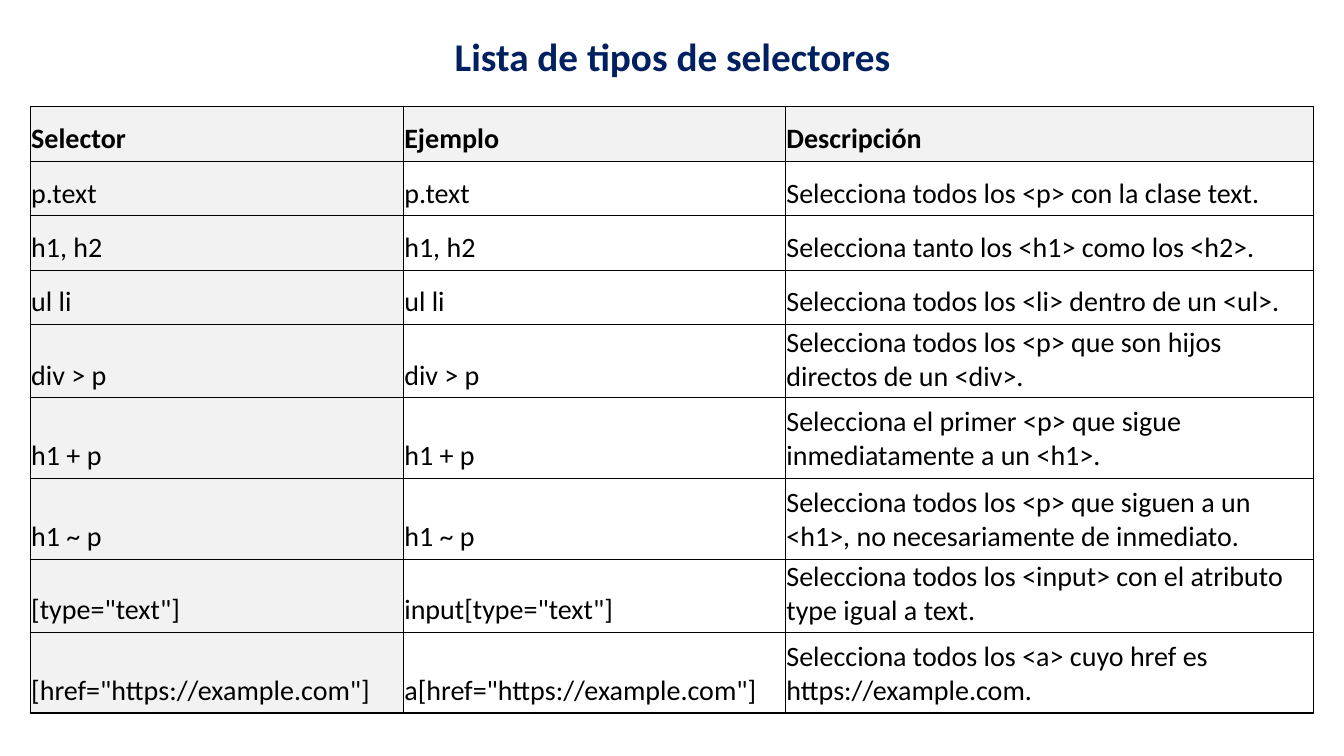
from dataclasses import dataclass

from lxml import etree
from pptx import Presentation
from pptx.dml.color import RGBColor
from pptx.enum.text import MSO_ANCHOR, PP_ALIGN
from pptx.oxml.ns import qn
from pptx.util import Inches, Pt

MIDDLE, BOTTOM = MSO_ANCHOR.MIDDLE, MSO_ANCHOR.BOTTOM
CENTER, LEFT = PP_ALIGN.CENTER, PP_ALIGN.LEFT

SLIDE_WIDTH, SLIDE_HEIGHT = Inches(13.33), Inches(7.5)
COLORS = {"title": "002060", "text": "000000", "border": "000000",
          "shaded": "F2F2F2", "plain": "FFFFFF"}
TITLE_FONT = {"name": "Calibri", "size": Pt(28), "bold": True}
HEADER_FONT = {"name": "Calibri", "size": Pt(20), "bold": True}
BODY_FONT = {**HEADER_FONT, "bold": False}
CELL_FORMAT = {"vertical_anchor": BOTTOM, "margin_left": Inches(0.01),
               "margin_top": Inches(0.01), "margin_right": Inches(0.01),
               "margin_bottom": Inches(0.05)}

# Shares of the slide, in percent
TITLE_BOX = (6.9, 3.47, 86.27, 8.67)
TABLE_LEFT, TABLE_TOP = 2.25, 14.13
COLUMN_SHARES = (27.76, 28.43, 39.31)
ROW_SHARE, TALL_ROW_SHARE = 7.2, 10.67

THICK, THIN = Pt(1), Pt(0.5)


@dataclass(frozen=True)
class SelectorRow:
    selector: str
    example: str
    description: str
    height: float = ROW_SHARE
    header: bool = False

    @property
    def texts(self) -> tuple[str, str, str]:
        return self.selector, self.example, self.description


ROWS = (
    SelectorRow("Selector", "Ejemplo", "Descripción", header=True),
    SelectorRow("p.text", "p.text", "Selecciona todos los <p> con la clase text."),
    SelectorRow("h1, h2", "h1, h2", "Selecciona tanto los <h1> como los <h2>."),
    SelectorRow("ul li", "ul li", "Selecciona todos los <li> dentro de un <ul>."),
    SelectorRow("div > p", "div > p",
                "Selecciona todos los <p> que son hijos directos de un <div>."),
    SelectorRow("h1 + p", "h1 + p",
                "Selecciona el primer <p> que sigue inmediatamente a un <h1>.",
                TALL_ROW_SHARE),
    SelectorRow("h1 ~ p", "h1 ~ p",
                "Selecciona todos los <p> que siguen a un <h1>, "
                "no necesariamente de inmediato.", TALL_ROW_SHARE),
    SelectorRow('[type="text"]', 'input[type="text"]',
                "Selecciona todos los <input> con el atributo type igual a text."),
    SelectorRow('[href="https://example.com"]', 'a[href="https://example.com"]',
                "Selecciona todos los <a> cuyo href es https://example.com.",
                TALL_ROW_SHARE),
)
VERTICAL_EDGES = (THICK, THICK, THIN, THICK)
HORIZONTAL_EDGES = (THICK, THICK, *[THIN] * (len(ROWS) - 2), THICK)


def across(share: float) -> int:
    return round(SLIDE_WIDTH * share / 100)


def down(share: float) -> int:
    return round(SLIDE_HEIGHT * share / 100)


def apply_format(target, values: dict) -> None:
    for attribute, value in values.items():
        setattr(target, attribute, value)


def write(frame, text: str, font: dict, color: str, alignment) -> None:
    paragraph = frame.paragraphs[0]
    paragraph.alignment = alignment
    run = paragraph.add_run()
    run.text = text
    apply_format(run.font, font)
    run.font.color.rgb = RGBColor.from_string(COLORS[color])


def add_borders(cell, widths: dict[str, int]) -> None:
    properties = cell._tc.get_or_add_tcPr()
    for side, width in widths.items():
        line = etree.SubElement(properties, qn(f"a:ln{side}"), w=str(width))
        fill = etree.SubElement(line, qn("a:solidFill"))
        etree.SubElement(fill, qn("a:srgbClr"), val=COLORS["border"])


def add_title(slide, text: str) -> None:
    left, top, width, height = TITLE_BOX
    frame = slide.shapes.add_textbox(
        across(left), down(top), across(width), down(height)).text_frame
    apply_format(frame, {"word_wrap": True, "vertical_anchor": MIDDLE})
    write(frame, text, TITLE_FONT, "title", CENTER)
    frame.paragraphs[0].line_spacing = 0.9


def add_selector_table(slide) -> None:
    table = slide.shapes.add_table(
        len(ROWS), len(COLUMN_SHARES), across(TABLE_LEFT), down(TABLE_TOP),
        across(sum(COLUMN_SHARES)), down(sum(row.height for row in ROWS))).table
    apply_format(table, {"first_row": False, "horz_banding": False})
    for column, share in zip(table.columns, COLUMN_SHARES):
        column.width = across(share)
    for r, row in enumerate(ROWS):
        table.rows[r].height = down(row.height)
        for c, text in enumerate(row.texts):
            cell = table.cell(r, c)
            apply_format(cell, CELL_FORMAT)
            add_borders(cell, {"L": VERTICAL_EDGES[c], "R": VERTICAL_EDGES[c + 1],
                               "T": HORIZONTAL_EDGES[r], "B": HORIZONTAL_EDGES[r + 1]})
            background = "shaded" if row.header or c == 0 else "plain"
            cell.fill.solid()
            cell.fill.fore_color.rgb = RGBColor.from_string(COLORS[background])
            write(cell.text_frame, text, HEADER_FONT if row.header else BODY_FONT,
                  "text", LEFT)


def main() -> None:
    presentation = Presentation()
    apply_format(presentation, {"slide_width": SLIDE_WIDTH, "slide_height": SLIDE_HEIGHT})
    slide = presentation.slides.add_slide(presentation.slide_layouts[6])
    add_title(slide, "Lista de tipos de selectores")
    add_selector_table(slide)
    presentation.save("out.pptx")


if __name__ == "__main__":
    main()
